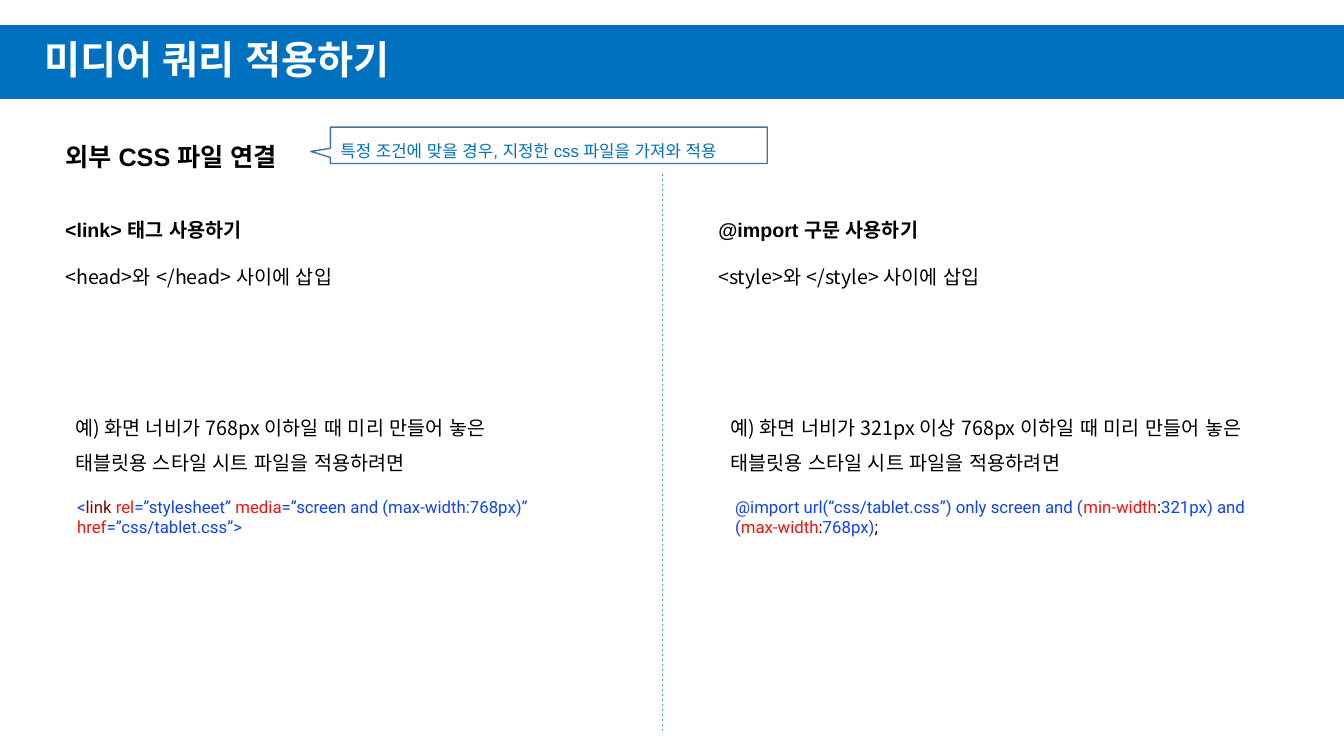
from lxml import etree
from pptx import Presentation
from pptx import util as u
from pptx.dml import color
from pptx.enum import dml, shapes, text
from pptx.oxml import ns

HUES = {
    "bar": "0070C0", "white": "FFFFFF", "black": "000000",
    "edge": "43739E", "rule": "5B9BD5",
    "blue": "0D40FF", "red": "FF0D0D", "tag": "800000",
}
SANS = "Arial"
KOREAN = "Noto Sans CJK KR"
CODE = "Roboto"


def rgb(name):
    return color.RGBColor.from_string(HUES[name])


def write(frame, words, size=14, font=SANS, hue="black", bold=False,
          space=1.5, anchor=text.MSO_ANCHOR.TOP):
    frame.word_wrap = True
    frame.vertical_anchor = anchor
    para = frame.paragraphs[0]
    para.alignment = text.PP_ALIGN.LEFT
    para.line_spacing = space
    runs = [(words, hue)] if isinstance(words, str) else words
    for part, shade in runs:
        run = para.add_run()
        run.text = part
        run.font.size = u.Pt(size)
        run.font.bold = bold
        run.font.color.rgb = rgb(shade)
        run.font.name = font
        east = etree.SubElement(run.font._element, ns.qn("a:ea"))
        east.set("typeface", SANS)


class Deck:
    def __init__(self, wide, high):
        self.show = Presentation()
        self.show.slide_width = u.Pt(wide)
        self.show.slide_height = u.Pt(high)
        self.slide = self.show.slides.add_slide(self.show.slide_layouts[6])

    def shape(self, kind, box, fill=None, line=None):
        item = self.slide.shapes.add_shape(kind, *map(u.Pt, box))
        item.shadow.inherit = False
        if fill:
            item.fill.solid()
            item.fill.fore_color.rgb = rgb(fill)
        else:
            item.fill.background()
        if line:
            item.line.color.rgb = rgb(line)
            item.line.width = u.Pt(1)
        else:
            item.line.fill.background()
        return item

    def label(self, box, words, **style):
        item = self.slide.shapes.add_textbox(*map(u.Pt, box))
        write(item.text_frame, words, **style)

    def rule(self, x, top, end):
        item = self.slide.shapes.add_connector(
            shapes.MSO_CONNECTOR.STRAIGHT, *map(u.Pt, (x, top, x, end)))
        item.line.color.rgb = rgb("rule")
        item.line.width = u.Pt(0.5)
        item.line.dash_style = dml.MSO_LINE.DASH
        etree.SubElement(item._element.spPr, ns.qn("a:effectLst"))

    def column(self, left, inset, wide, head, place, case, code, shift):
        self.label((left, 144, 271, 30), head, bold=True)
        self.label((left, 177, 400, 30), place, font=KOREAN)
        self.label((left + inset, 285, wide, 58), case, font=KOREAN)
        self.label((left + shift, 351, 392, 36), code, size=12, font=CODE,
                   space=1)


def main():
    deck = Deck(960, 540)
    deck.shape(shapes.MSO_SHAPE.RECTANGLE, (0, 18, 960, 52.6), fill="bar")
    deck.label((24.5, 18, 716, 52.6), "미디어 쿼리 적용하기", size=28,
               hue="white", bold=True, space=0.9,
               anchor=text.MSO_ANCHOR.MIDDLE)
    deck.label((39.5, 86.4, 271, 36), "외부 CSS 파일 연결", size=18, bold=True)
    deck.rule(473, 124, 522)

    note = deck.shape(shapes.MSO_SHAPE.RECTANGULAR_CALLOUT,
                      (236, 90.8, 312, 26), line="edge")
    note.adjustments[0] = -0.545
    note.adjustments[1] = 0.168
    write(note.text_frame, "특정 조건에 맞을 경우, 지정한 css 파일을 가져와 적용",
          size=12, hue="bar", anchor=text.MSO_ANCHOR.MIDDLE)

    link = [
        ("<", "blue"), ("link ", "tag"), ("rel", "red"),
        ("=”stylesheet” ", "blue"), ("media", "red"),
        ("=”screen and (max-width:768px)” ", "blue"),
        ("href", "red"), ("=”css/tablet.css”>", "blue"),
    ]
    load = [
        ("@import url(“css/tablet.css”) only screen and (", "blue"),
        ("min-width", "red"), (":", "black"), ("321px) and (", "blue"),
        ("max-width", "red"), (":", "black"), ("768px)", "blue"),
        (";", "black"),
    ]
    deck.column(39.5, 7, 345, "<link> 태그 사용하기",
                "<head>와 </head> 사이에 삽입",
                "예) 화면 너비가 768px 이하일 때 미리 만들어 놓은 "
                "태블릿용 스타일 시트 파일을 적용하려면", link, 8.5)
    deck.column(506, 8.5, 392, "@import 구문 사용하기",
                "<style>와 </style> 사이에 삽입",
                "예) 화면 너비가 321px 이상 768px 이하일 때 미리 만들어 "
                "놓은 태블릿용 스타일 시트 파일을 적용하려면", load, 12)
    deck.show.save("out.pptx")


if __name__ == "__main__":
    main()
